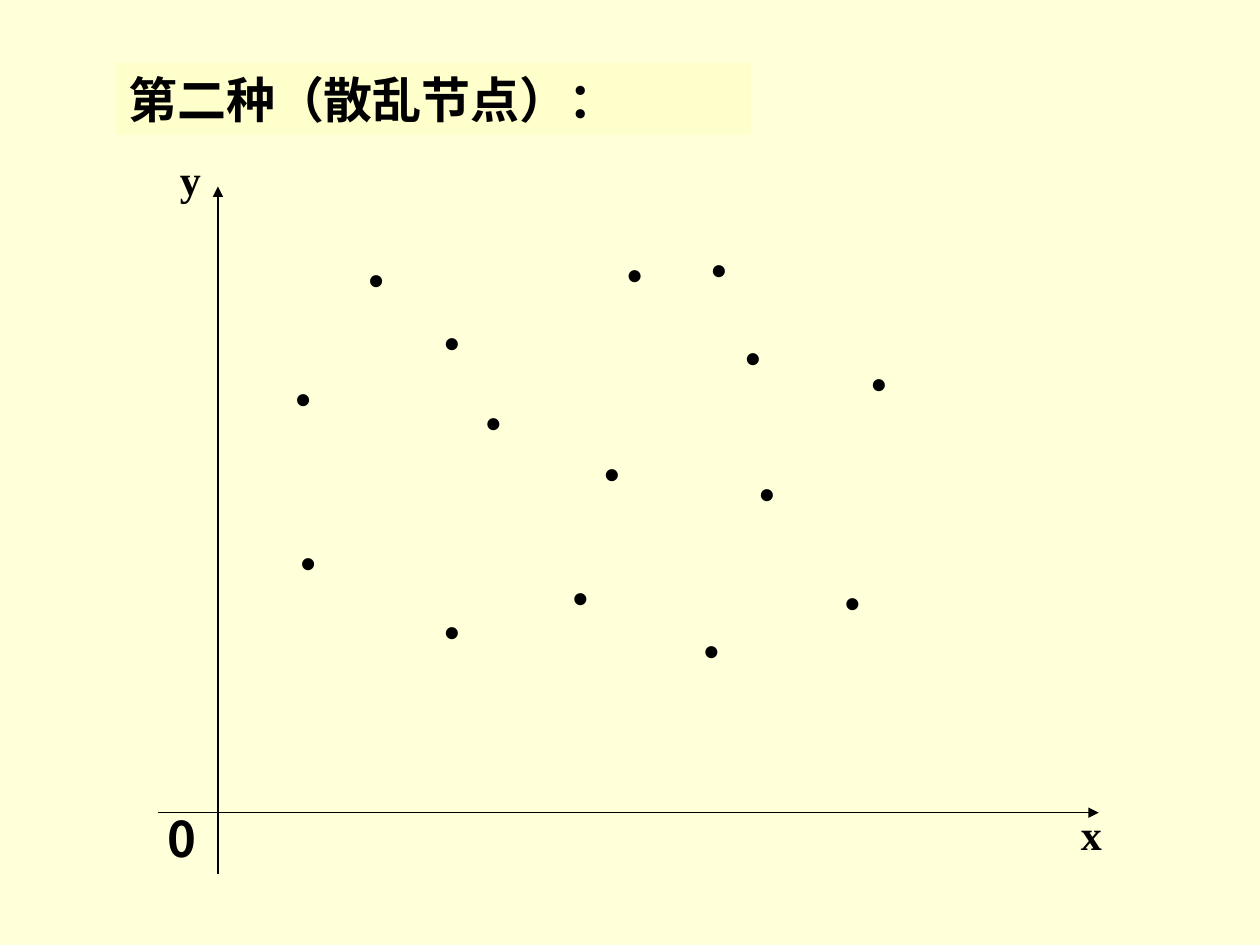
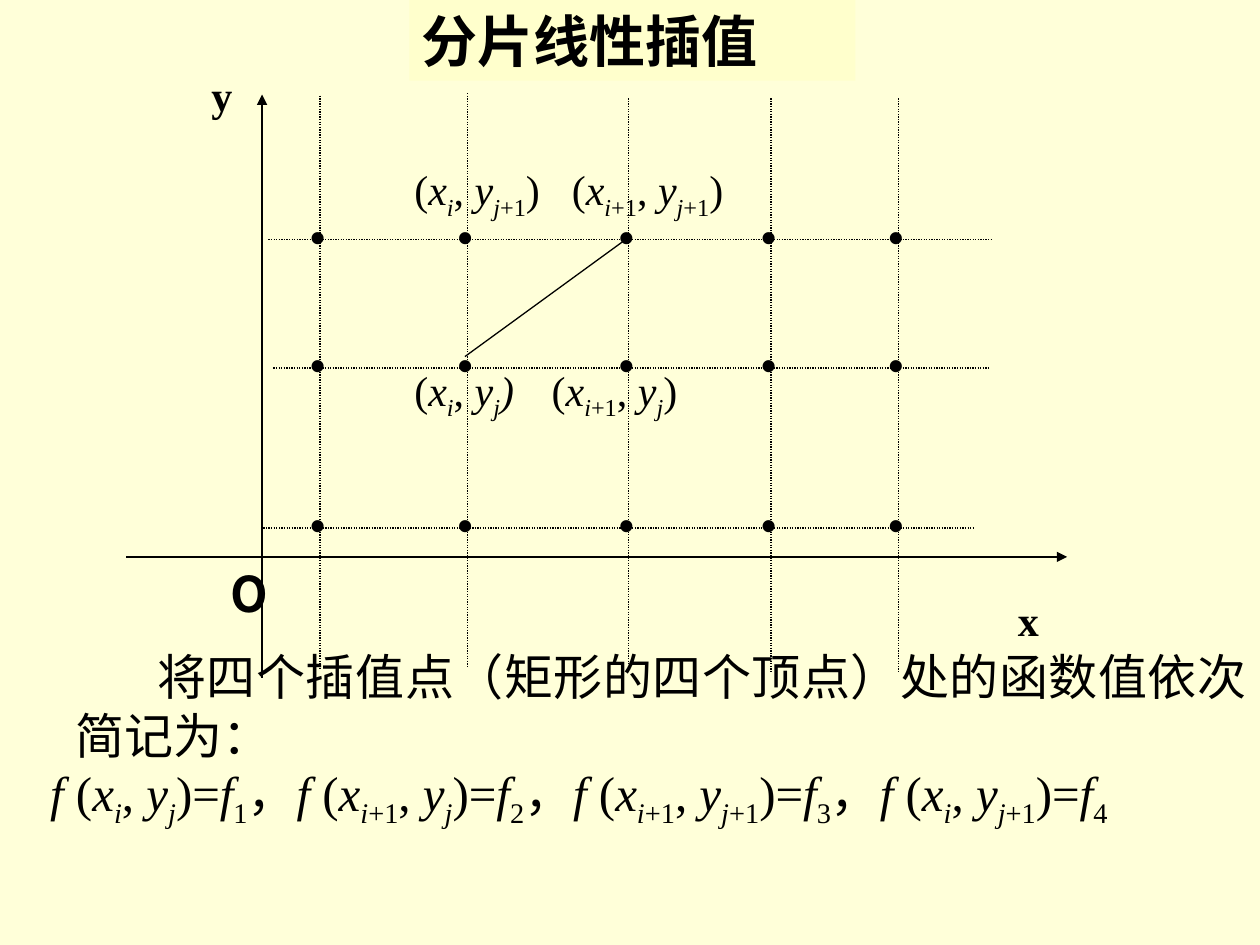
from itertools import groupby
from lxml import etree
from pptx import Presentation
from pptx import util as u
from pptx.dml.color import RGBColor
from pptx.enum import dml, shapes, text
from pptx.oxml.ns import qn

BG = RGBColor(0xFF, 0xFF, 0xD9)
BAND = RGBColor(0xFF, 0xFF, 0xCC)
INK = RGBColor(0, 0, 0)
SERIF, SANS, CJK = "Times New Roman", "Arial", "Noto Sans CJK SC"

prs = Presentation()
prs.slide_width, prs.slide_height = u.Inches(10), u.Inches(7.5)
COL, ROW = prs.slide_width / 100, prs.slide_height / 75


def add_text(s, words, x, y, w, h, size=24, font=SERIF, bold=True, math=False, wrap=True, fill=None):
    box = [int(x * COL), int(y * ROW), int(w * COL), int(h * ROW)]
    if fill is None:
        sp = s.shapes.add_textbox(*box)
    else:
        sp = s.shapes.add_shape(shapes.MSO_SHAPE.RECTANGLE, *box)
        sp.shadow.inherit = False
        sp.fill.solid()
        sp.fill.fore_color.rgb = fill
        sp.line.fill.background()
    tf = sp.text_frame
    tf.word_wrap = wrap
    tf.vertical_anchor = text.MSO_ANCHOR.TOP
    p = tf.paragraphs[0]
    p.alignment = text.PP_ALIGN.LEFT
    for i, part in enumerate(words.split("_") if math else [words]):
        for italic, chars in groupby(part, lambda c: math and c.isalpha()):
            r = p.add_run()
            r.text = "".join(chars)
            r.font.size, r.font.name, r.font.bold = u.Pt(size), font, bold
            r.font.italic = italic
            r.font.color.rgb = INK
            rPr = r.font._element
            etree.SubElement(rPr, qn("a:ea")).set("typeface", CJK)
            if i % 2:
                rPr.set("baseline", "-25000")
    return p


def add_line(s, x1, y1, x2, y2, arrow=False, dotted=False):
    cn = s.shapes.add_connector(shapes.MSO_CONNECTOR.STRAIGHT, int(x1 * COL), int(y1 * ROW), int(x2 * COL), int(y2 * ROW))
    cn.line.color.rgb = INK
    cn.line.width = u.Pt(0.75)
    if dotted:
        cn.line.dash_style = dml.MSO_LINE.ROUND_DOT
    if arrow:
        etree.SubElement(cn.line._get_or_add_ln(), qn("a:tailEnd")).set("type", "triangle")
    etree.SubElement(cn._element.spPr, qn("a:effectLst"))


slides = [prs.slides.add_slide(prs.slide_layouts[6]) for _ in range(2)]
for s in slides:
    s.background.fill.solid()
    s.background.fill.fore_color.rgb = BG

s = slides[0]
add_text(s, "第二种（散乱节点）：", 9.2, 5, 50.4, 5.7, size=28, fill=BAND)
add_line(s, 12.5, 64.5, 87.2, 64.5, arrow=True)
add_line(s, 17.3, 69.4, 17.3, 14.8, arrow=True)
nodes = [
    (28.3, 19.6), (34.3, 24.6), (47, 35), (55.5, 18.8), (58.2, 25.8),
    (48.8, 19.2), (59.3, 36.6), (68.2, 27.9), (37.6, 31), (22.5, 29.1),
    (22.9, 42.1), (34.3, 47.6), (44.5, 44.9), (54.9, 49.1), (66.1, 45.3),
]
for x, y in nodes:
    add_text(s, "•", x, y, 6.9, 5, font=SANS)
add_text(s, "y", 13.3, 11.7, 5.8, 5)
add_text(s, "x", 84.8, 63.7, 7.3, 5)
add_text(s, "0", 12.3, 63.7, 4.3, 5.7, size=28, font=CJK, wrap=False)

s = slides[1]
p = add_text(s, "将四个插值点（矩形的四个顶点）处的函数值依次简记为：", 5, 50.8, 95, 10.5, size=28, bold=False)
p.alignment = text.PP_ALIGN.JUSTIFY
p._p.get_or_add_pPr().set("indent", str(int(6.5 * COL)))
add_text(s, "分片线性插值", 32.5, 0, 35.4, 6.4, size=32, font=CJK, fill=BAND)
add_line(s, 20.8, 53.8, 20.8, 7.5, arrow=True)
add_line(s, 10, 44.2, 84.7, 44.2, arrow=True)
add_text(s, "x", 79.8, 46.7, 6.3, 5)
add_text(s, "y", 15.8, 5, 6.9, 5)

grid_cols = [(25.4, 7.6), (37.1, 7.4), (49.9, 7.8), (61.2, 7.8), (71.3, 7.8)]
grid_rows = [(19, 21.3, 78.8), (29.2, 21.7, 78.6), (41.9, 20.9, 77.3)]
for x, top in grid_cols:
    add_line(s, x, top, x, top + 45.5, dotted=True)
for y, left, right in grid_rows:
    add_line(s, left, y, right, y, dotted=True)
    for x, _ in grid_cols:
        add_text(s, "•", x - 1.75, y - 2.8, 6.9, 5, font=SANS)

corners = [
    ("(x_i_, y_j_)", 31.9, 28.4, 13.3),
    ("(x_i_, y_j+1_)", 31.9, 12.5, 13.3),
    ("(x_i+1_, y_j_)", 42.8, 28.4, 12.5),
    ("(x_i+1_, y_j+1_)", 44.4, 12.5, 16.7),
]
for i, (words, x, y, w) in enumerate(corners):
    p = add_text(s, words, x, y, w, 5.6, bold=False, math=True)
    if i == 0:
        p.runs[-1].font.italic = True
add_line(s, 36.9, 28.3, 49.4, 19.2)
add_text(s, "O", 17.3, 44.2, 4.3, 5.7, size=28, font="Noto Sans CJK JP", wrap=False)
values = "，".join(
    f"f (x_{i}_, y_{j}_)=f_{n}_"
    for n, (i, j) in enumerate([("i", "j"), ("i+1", "j"), ("i+1", "j+1"), ("i", "j+1")], 1)
)
add_text(s, values, 3, 60, 91.5, 6.3, size=28, bold=False, math=True, wrap=False)

prs.save("out.pptx")
